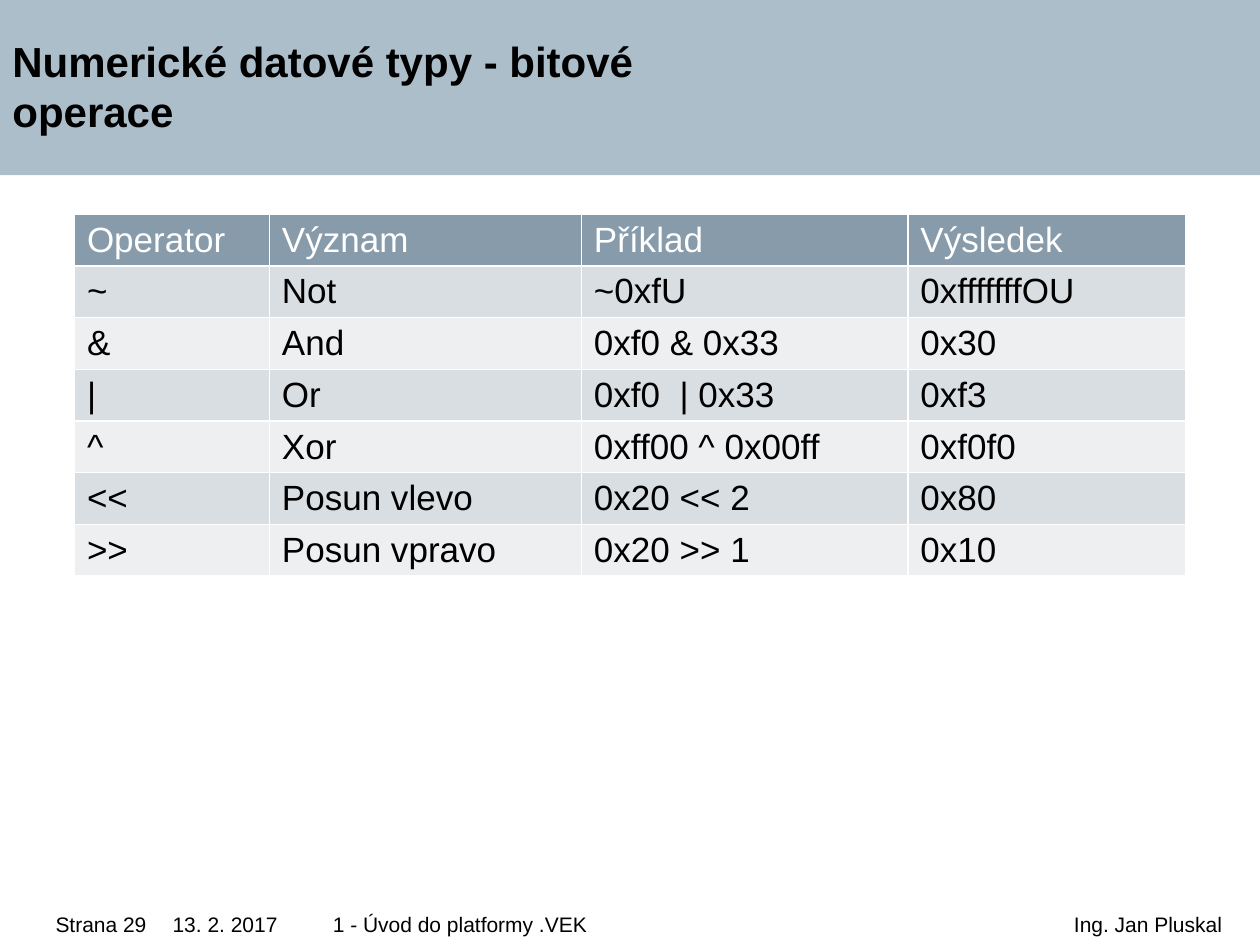
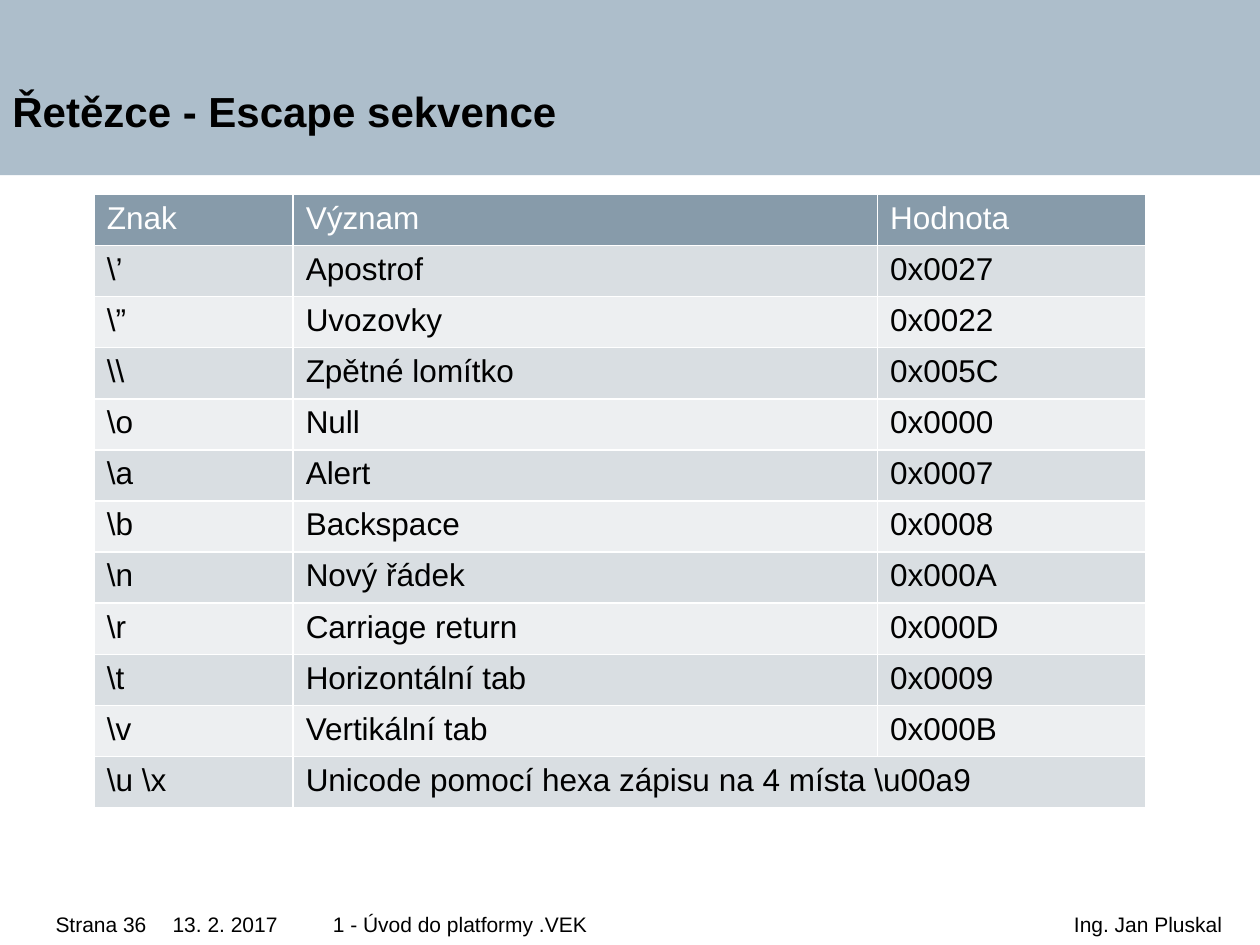
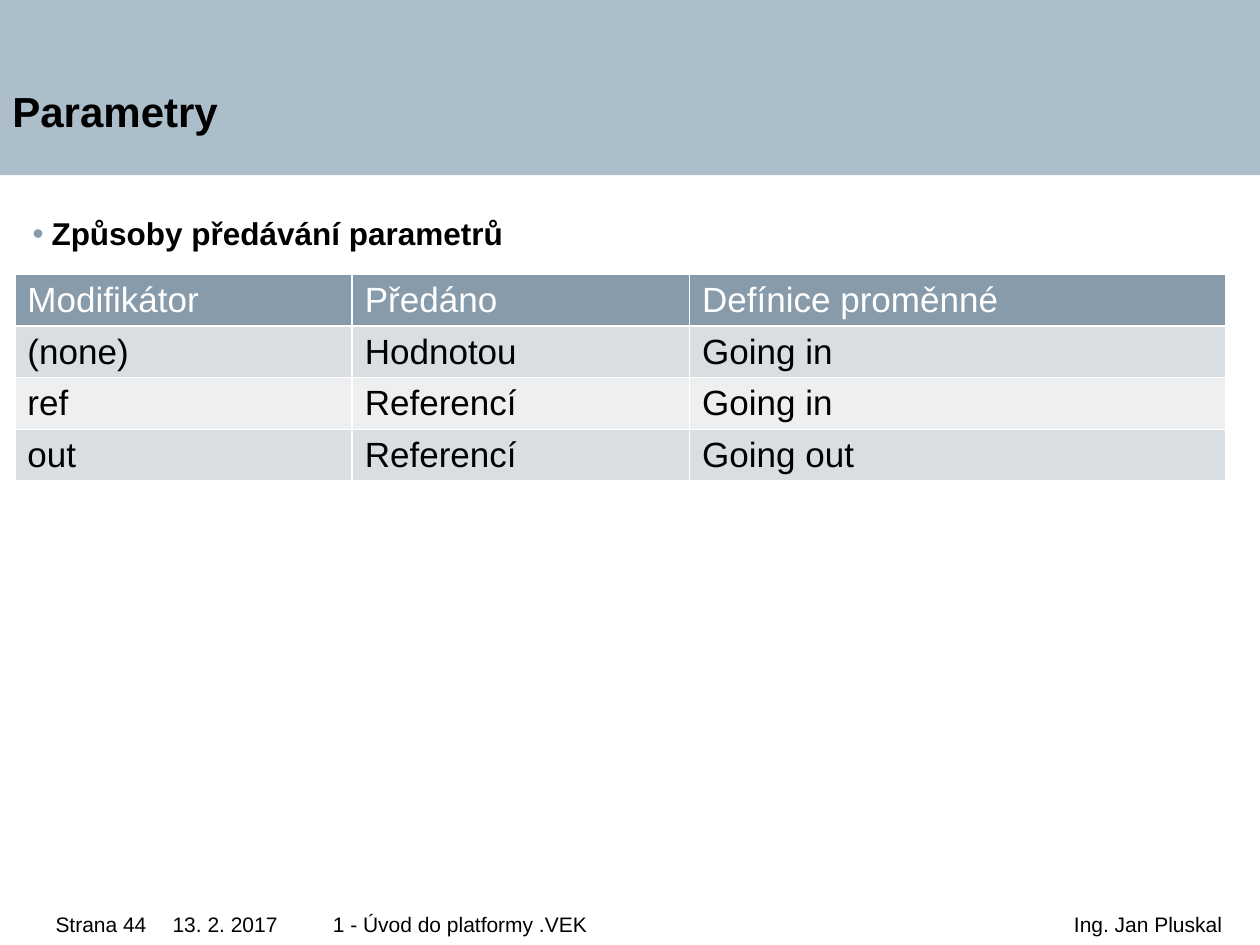
from lxml.etree import SubElement
from pptx import Presentation
from pptx.dml.color import RGBColor
from pptx.enum.shapes import MSO_SHAPE
from pptx.enum.text import MSO_ANCHOR, MSO_AUTO_SIZE, PP_ALIGN
from pptx.oxml.ns import qn
from pptx.util import Cm, Pt

FONT = "Arial"
BLACK, WHITE = "000000", "FFFFFF"
BAND, ACCENT = "ADBECB", "879BAA"
STRIPES = ("D9DEE2", "EDEFF1")
TITLE_ONLY, TITLE_AND_BODY = 5, 1
ROW_HEIGHT = 1.03
FOOTER_TOP, FOOTER_HEIGHT = 18.33, 0.71
DATE, LECTURE, AUTHOR = "13. 2. 2017", "1 - Úvod do platformy .VEK", "Ing. Jan Pluskal"

OPERATORS = [
    ("Operator", "Význam", "Příklad", "Výsledek"),
    ("~", "Not", "~0xfU", "0xfffffffOU"),
    ("&", "And", "0xf0 & 0x33", "0x30"),
    ("|", "Or", "0xf0  | 0x33", "0xf3"),
    ("^", "Xor", "0xff00 ^ 0x00ff", "0xf0f0"),
    ("<<", "Posun vlevo", "0x20 << 2", "0x80"),
    (">>", "Posun vpravo", "0x20 >> 1", "0x10"),
]
ESCAPES = [
    ("Znak", "Význam", "Hodnota"),
    (r"\’", "Apostrof", "0x0027"),
    (r"\”", "Uvozovky", "0x0022"),
    (r"\\", "Zpětné lomítko", "0x005C"),
    (r"\o", "Null", "0x0000"),
    (r"\a", "Alert", "0x0007"),
    (r"\b", "Backspace", "0x0008"),
    (r"\n", "Nový řádek", "0x000A"),
    (r"\r", "Carriage return", "0x000D"),
    (r"\t", "Horizontální tab", "0x0009"),
    (r"\v", "Vertikální tab", "0x000B"),
    (r"\u \x", r"Unicode pomocí hexa zápisu na 4 místa \u00a9"),
]
MODIFIERS = [
    ("Modifikátor", "Předáno", "Defínice proměnné"),
    ("(none)", "Hodnotou", "Going in"),
    ("ref", "Referencí", "Going in"),
    ("out", "Referencí", "Going out"),
]


def rgb(color):
    return RGBColor.from_string(color)


def write(tf, text, size=18, color=BLACK, bold=False, align=PP_ALIGN.LEFT, spacing=None):
    p = tf.paragraphs[0]
    p.alignment = align
    p.space_before = Pt(0)
    if spacing:
        p.line_spacing = spacing
    r = p.add_run()
    r.text = text
    r.font.name = FONT
    r.font.size = Pt(size)
    r.font.bold = bold
    r.font.color.rgb = rgb(color)
    return p


def set_frame(tf, left=0, top=0, right=0, bottom=0, anchor=MSO_ANCHOR.TOP):
    tf.margin_left, tf.margin_top = Cm(left), Cm(top)
    tf.margin_right, tf.margin_bottom = Cm(right), Cm(bottom)
    tf.vertical_anchor = anchor
    tf.word_wrap = True
    tf.auto_size = MSO_AUTO_SIZE.NONE


def place(sp, left, top, width, height):
    sp.left, sp.top, sp.width, sp.height = Cm(left), Cm(top), Cm(width), Cm(height)


def add_band(s, width):
    sp = s.shapes.add_shape(MSO_SHAPE.RECTANGLE, 0, 0, width, Cm(3.53))
    sp.shadow.inherit = False
    sp.fill.solid()
    sp.fill.fore_color.rgb = rgb(BAND)
    sp.line.fill.background()
    s.shapes._spTree.insert(2, sp._element)


def add_footer(s, text, left, width, indent=0, right=0, align=PP_ALIGN.LEFT):
    sp = s.shapes.add_textbox(Cm(left), Cm(FOOTER_TOP), Cm(width), Cm(FOOTER_HEIGHT))
    set_frame(sp.text_frame, left=indent, right=right, bottom=0.23)
    write(sp.text_frame, text, size=12, align=align, spacing=1.1)


def add_slide(prs, layout, title, page):
    s = prs.slides.add_slide(prs.slide_layouts[layout])
    add_band(s, prs.slide_width)
    add_footer(s, DATE, 0.41, 7.09, indent=3.07)
    add_footer(s, f"Strana {page}", 0, 3.48, indent=1.12)
    add_footer(s, AUTHOR, 7.49, 17.91, right=0.76, align=PP_ALIGN.RIGHT)
    add_footer(s, LECTURE, 6.71, 9.09, right=0.76)
    place(s.shapes.title, 0, 0, 16.64, 3.51)
    tf = s.shapes.title.text_frame
    set_frame(tf, 0.25, 0.25, 2.03, 0.76, MSO_ANCHOR.BOTTOM)
    write(tf, title, size=24, bold=True)
    return s


def add_bullet(s, text):
    sp = s.placeholders[1]
    place(sp, 0.3, 3.94, 24.79, 14)
    set_frame(sp.text_frame)
    p = write(sp.text_frame, text, bold=True, spacing=1.5)
    p.level = 1
    pPr = p._p.get_or_add_pPr()
    pPr.set("marL", str(Cm(0.74)))
    pPr.set("indent", str(Cm(-0.38)))
    SubElement(SubElement(pPr, qn("a:buClr")), qn("a:srgbClr"), val=ACCENT)
    SubElement(pPr, qn("a:buFont"), typeface=FONT)
    SubElement(pPr, qn("a:buChar"), char="•")


def set_borders(cell):
    tcPr = cell._tc.get_or_add_tcPr()
    for i, tag in enumerate(("a:lnL", "a:lnR", "a:lnT", "a:lnB")):
        ln = tcPr.makeelement(qn(tag), {"w": str(Pt(1))})
        SubElement(SubElement(ln, qn("a:solidFill")), qn("a:srgbClr"), val=WHITE)
        tcPr.insert(i, ln)


def add_grid(s, rows, left, top, widths, size=20):
    frame = s.shapes.add_table(len(rows), len(widths), Cm(left), Cm(top),
                               Cm(sum(widths)), Cm(ROW_HEIGHT * len(rows)))
    table = frame.table
    for column, width in zip(table.columns, widths):
        column.width = Cm(width)
    for i, row in enumerate(rows):
        table.rows[i].height = Cm(ROW_HEIGHT)
        header = i == 0
        for j, cell in enumerate(table.rows[i].cells):
            cell.fill.solid()
            cell.fill.fore_color.rgb = rgb(ACCENT if header else STRIPES[(i - 1) % 2])
            set_borders(cell)
            if j < len(row):
                write(cell.text_frame, row[j], size=size, color=WHITE if header else BLACK)
        if len(row) < len(widths):
            table.cell(i, len(row) - 1).merge(table.cell(i, len(widths) - 1))


def main():
    prs = Presentation()
    prs.slide_width, prs.slide_height = Cm(25.4), Cm(19.05)

    s = add_slide(prs, TITLE_ONLY, "Numerické datové typy - bitové operace", 29)
    add_grid(s, OPERATORS, 1.5, 4.32, (3.93, 6.29, 6.58, 5.6))

    s = add_slide(prs, TITLE_ONLY, "Řetězce - Escape sekvence", 36)
    add_grid(s, ESCAPES, 1.9, 3.92, (4.01, 11.78, 5.4), size=18)

    s = add_slide(prs, TITLE_AND_BODY, "Parametry", 44)
    add_bullet(s, "Způsoby předávání parametrů")
    add_grid(s, MODIFIERS, 0.3, 5.53, (6.8, 6.8, 10.8))

    prs.save("out.pptx")


if __name__ == "__main__":
    main()
